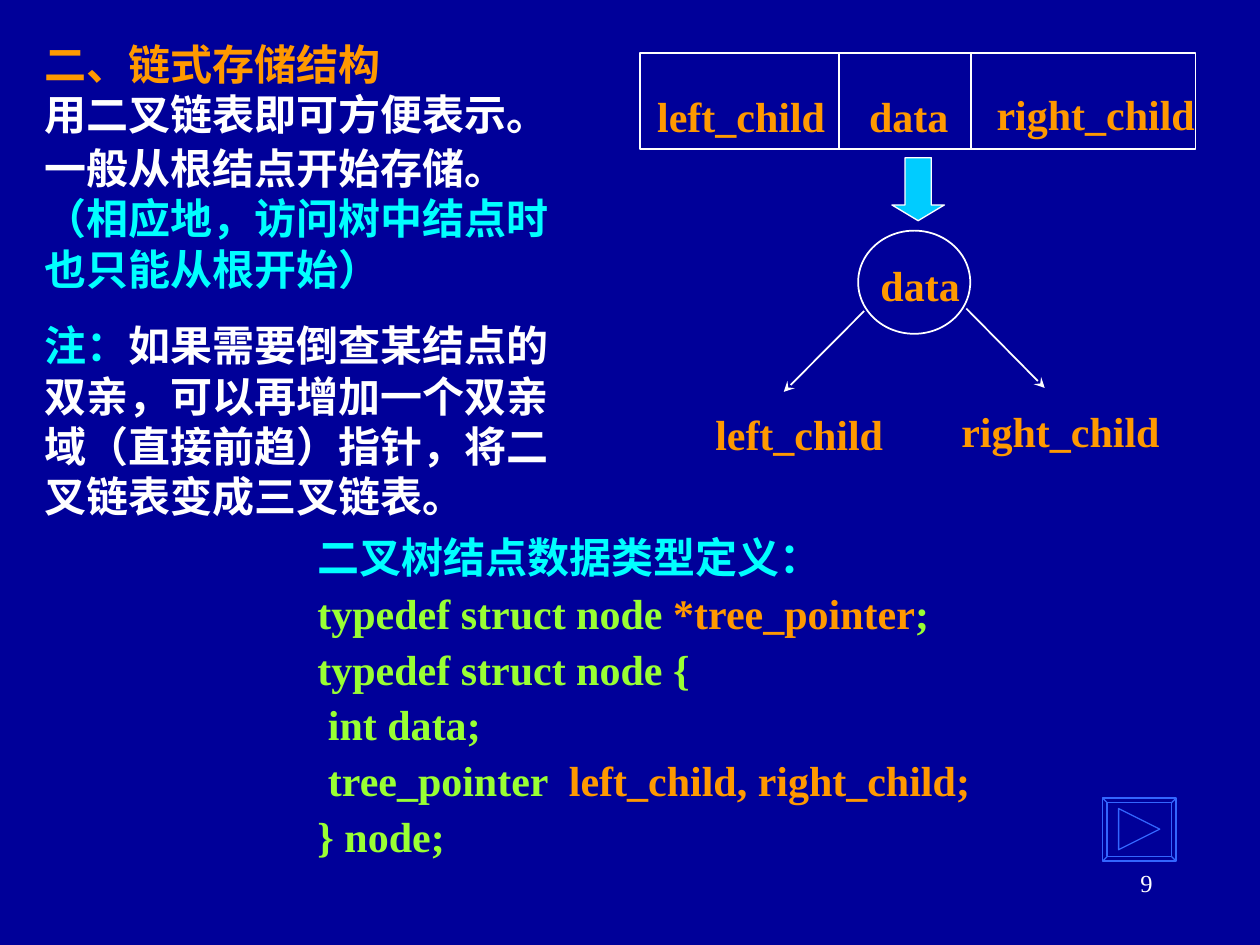
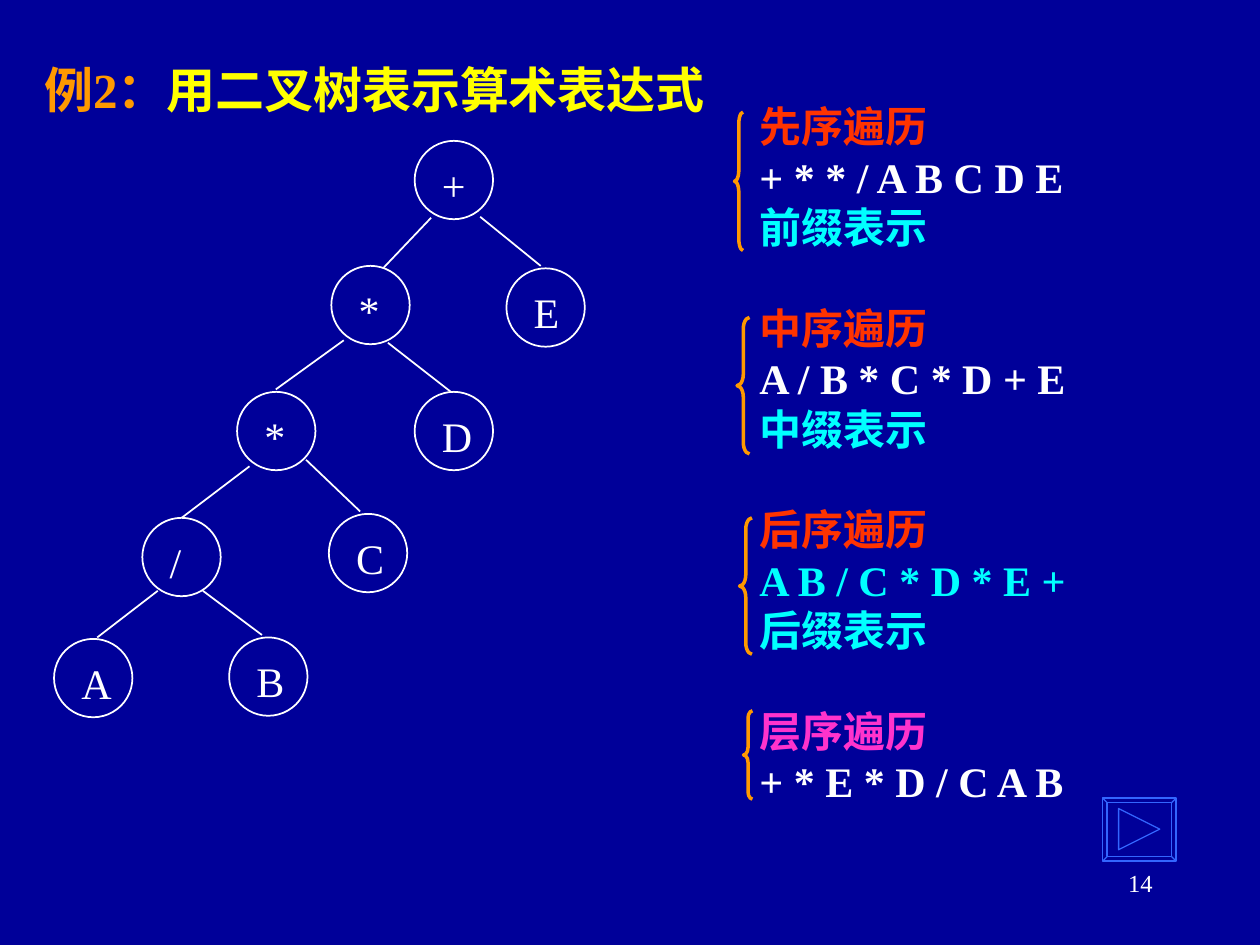
import pptx
import pptx.dml.color
import pptx.enum.shapes
import pptx.enum.text
import pptx.oxml
import pptx.oxml.ns
import pptx.util
from pptx.util import Cm

SHAPE = pptx.enum.shapes.MSO_SHAPE
ALIGN = pptx.enum.text.PP_ALIGN
ANCHOR = pptx.enum.text.MSO_ANCHOR
COLORS = {
    "navy": "000099", "white": "FFFFFF", "orange": "FF9900", "cyan": "00FFFF",
    "lime": "99FF33", "red": "FF3300", "pink": "FF33CC", "yellow": "FFFF00",
    "sky": "00CCFF", "blue": "3366FF",
}
LATIN, CHINESE, MONO = "Times New Roman", "Noto Sans CJK SC", "Courier New"

STORAGE_TITLE = [[("二、链式存储结构\n", "orange"), ("用二叉链表即可方便表示。", "white", CHINESE)]]
STORAGE_NOTES = [
    [("一般从根结点开始存储。\n", "white", CHINESE),
     ("（相应地，访问树中结点时也只能从根开始）", "cyan", CHINESE)],
    [("注：", "cyan", CHINESE),
     ("如果需要倒查某结点的双亲，可以再增加一个双亲域（直接前趋）指针，将二叉链表变成三叉链表。",
      "white", CHINESE)],
]
NODE_CODE = [
    [("二叉树结点数据类型定义：", "cyan", MONO)],
    [("typedef struct node ", "lime"), ("*tree_pointer", "orange"), (";", "lime")],
    [("typedef struct node {", "lime")],
    [(" int data;", "lime")],
    [(" tree_pointer  ", "lime"), ("left_child, right_child;", "orange")],
    [("} node;", "lime")],
]
FIELD_WIDTHS = {"left_child": 3.91, "data": 2.11, "right_child": 4.52}
FIELD_LABELS = [
    ("left_child", 13, 1.7), ("data", 17.27, 1.7), ("right_child", 19.84, 1.65),
    ("data", 17.5, 5.11), ("left_child", 14.17, 8.1), ("right_child", 19.13, 8.05),
]
FIELD_DIVIDERS = [16.92, 19.58]
CHILD_ARROWS = [(17.42, 6.27, 15.8, 7.9), (19.48, 6.22, 21.06, 7.82)]

EXPRESSION_TITLE = [[("例2：", "orange"), ("用二叉树表示算术表达式", "yellow")]]
TREE_NODES = [
    ("+", 8.36, 2.84), ("*", 6.68, 5.36), ("*", 4.78, 7.9), ("/", 2.87, 10.44), ("A", 1.09, 12.88),
    ("E", 10.21, 5.41), ("D", 8.36, 7.9), ("C", 6.63, 10.36), ("B", 4.62, 12.85),
]
TREE_EDGES = [
    (8.69, 4.39, 7.72, 5.41), (6.93, 6.86, 5.56, 7.85),
    (5.03, 9.4, 3.66, 10.44), (3.18, 11.91, 1.96, 12.85),
    (9.68, 4.37, 10.9, 5.36), (7.82, 6.91, 9.09, 7.9),
    (6.17, 9.27, 7.26, 10.31), (4.09, 11.91, 5.28, 12.8),
]
TRAVERSALS = [
    [("先序遍历", "red"), ("+ * * / A B C D E", "white"), ("前缀表示", "cyan")],
    [("中序遍历", "red"), ("A / B * C * D + E", "white"), ("中缀表示", "cyan")],
    [("后序遍历", "red"), ("A B / C * D * E +", "cyan"), ("后缀表示", "cyan")],
    [("层序遍历", "pink"), ("+ * E * D / C A B", "white")],
]
BRACES = [
    (14.81, 2.26, 0.17, 2.79), (14.86, 6.4, 0.25, 2.75),
    (14.91, 10.44, 0.25, 2.75), (14.99, 14.33, 0.18, 1.78),
]


def rgb(name):
    return pptx.dml.color.RGBColor.from_string(COLORS[name])


def add_xml(parent, tag, attributes=""):
    namespace = pptx.oxml.ns.nsdecls("a")
    parent.append(pptx.oxml.parse_xml(f"<a:{tag} {namespace} {attributes}/>"))


def set_values(target, values):
    for name, value in values.items():
        setattr(target, name, value)


def write(frame, paragraphs, size=24, bold=True, gap=0, align=ALIGN.LEFT, wrap=True,
          anchor=ANCHOR.TOP):
    set_values(frame, {
        "auto_size": pptx.enum.text.MSO_AUTO_SIZE.NONE, "word_wrap": wrap, "vertical_anchor": anchor,
        "margin_left": Cm(0.25), "margin_right": Cm(0.25),
        "margin_top": Cm(0.13), "margin_bottom": Cm(0.13),
    })
    for index, spans in enumerate(paragraphs):
        para = frame.add_paragraph() if index else frame.paragraphs[0]
        set_values(para, {
            "alignment": align, "line_spacing": pptx.util.Pt(size * 1.2),
            "space_before": pptx.util.Pt(gap if index else 0), "space_after": pptx.util.Pt(0),
        })
        for text, color, *font in spans:
            span = para.add_run()
            span.text = text.rstrip("\n")
            set_values(span.font, {
                "size": pptx.util.Pt(size), "bold": bold, "name": font[0] if font else LATIN,
            })
            span.font.color.rgb = rgb(color)
            add_xml(span.font._element, "ea", f'typeface="{CHINESE}"')
            if text.endswith("\n"):
                para.add_line_break()


def add_text(page, place, paragraphs, **style):
    box = page.shapes.add_textbox(*map(Cm, place))
    write(box.text_frame, paragraphs, **style)
    return box


def add_outline(page, kind, place, line="white", width=1, fill=None, adjust=()):
    shape = page.shapes.add_shape(kind, *map(Cm, place))
    shape.shadow.inherit = False
    shape.line.color.rgb = rgb(line)
    shape.line.width = pptx.util.Pt(width)
    if fill:
        shape.fill.solid()
        shape.fill.fore_color.rgb = rgb(fill)
    else:
        shape.fill.background()
    for index, value in enumerate(adjust):
        shape.adjustments[index] = value
    return shape


def add_line(page, ends, arrow=False):
    line = page.shapes.add_connector(pptx.enum.shapes.MSO_CONNECTOR.STRAIGHT, *map(Cm, ends))
    line.line.color.rgb = rgb("white")
    line.line.width = pptx.util.Pt(1)
    if arrow:
        add_xml(line.get_or_add_ln(), "tailEnd", 'type="stealth"')
    add_xml(line._element.spPr, "effectLst")


def add_page(deck, title, title_width, title_size, number):
    page = deck.slides.add_slide(deck.slide_layouts[5])
    heading = page.shapes.title
    set_values(heading, {
        "left": Cm(0.64), "top": Cm(0.84), "width": Cm(title_width), "height": Cm(1.9),
    })
    write(heading.text_frame, title, size=title_size, anchor=ANCHOR.MIDDLE)
    add_outline(page, SHAPE.BEVEL, (22.23, 16.09, 1.48, 1.27), "blue", 0.75, adjust=[0.07])
    triangle = add_outline(page, SHAPE.ISOSCELES_TRIANGLE, (22.55, 16.3, 0.83, 0.83), "blue", 0.75)
    triangle.rotation = 90
    add_text(page, (18.2, 17.36, 5.29, 1.27), [[(number, "white")]],
             size=14, bold=False, align=ALIGN.RIGHT)
    return page


def build_storage(deck):
    page = add_page(deck, STORAGE_TITLE, 13.34, 24, "9")
    add_outline(page, SHAPE.RECTANGLE, (12.9, 1.07, 11.2, 1.93))
    for x in FIELD_DIVIDERS:
        add_line(page, (x, 1.07, x, 3))
    add_outline(page, SHAPE.OVAL, (17.3, 4.65, 2.26, 2.08))
    for ends in CHILD_ARROWS:
        add_line(page, ends, arrow=True)
    for label, x, y in FIELD_LABELS:
        add_text(page, (x, y, FIELD_WIDTHS[label], 1.27), [[(label, "orange")]], wrap=False)
    add_text(page, (6.15, 10.59, 15.24, 7.19), NODE_CODE, gap=3)
    add_text(page, (0.64, 2.74, 11.43, 7.9), STORAGE_NOTES, gap=15)
    add_outline(page, SHAPE.DOWN_ARROW, (17.98, 3.18, 1.06, 1.27), width=0.75,
                fill="sky", adjust=[0.5, 0.3])


def build_expression(deck):
    page = add_page(deck, EXPRESSION_TITLE, 15.24, 28, "14")
    for label, x, y in TREE_NODES:
        add_outline(page, SHAPE.OVAL, (x, y, 1.58, 1.58))
        add_text(page, (x + 0.3, y + 0.24, 1.2, 1.27), [[(label, "white")]], bold=False)
    for ends in TREE_EDGES:
        add_line(page, ends)
    box = add_text(page, (15.06, 1.9, 6.73, 14.48),
                   [[line] for group in TRAVERSALS for line in group])
    group_start = 0
    for group in TRAVERSALS[:-1]:
        group_start += len(group)
        box.text_frame.paragraphs[group_start].space_before = pptx.util.Pt(28.8)
    for place in BRACES:
        width, height = place[2:]
        add_outline(page, SHAPE.LEFT_BRACE, place, "orange", 2, adjust=[height / 12 / width, 0.5])


def main():
    deck = pptx.Presentation()
    deck.slide_width, deck.slide_height = Cm(25.4), Cm(19.05)
    background = deck.slide_master.background.fill
    background.solid()
    background.fore_color.rgb = rgb("navy")
    build_storage(deck)
    build_expression(deck)
    deck.save("out.pptx")


if __name__ == "__main__":
    main()
